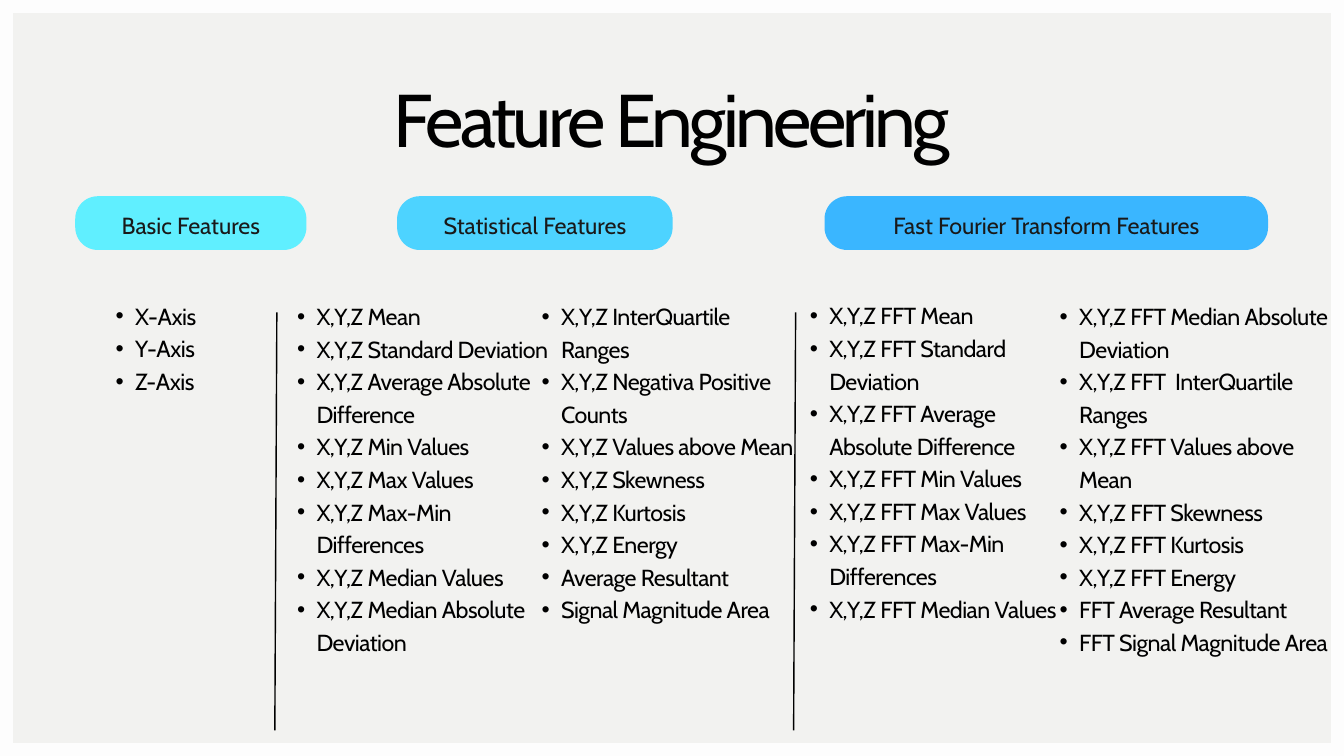
from lxml import etree
from pptx import Presentation
from pptx.dml.color import RGBColor
from pptx.enum.shapes import MSO_CONNECTOR, MSO_SHAPE
from pptx.enum.text import MSO_ANCHOR, MSO_AUTO_SIZE, PP_ALIGN
from pptx.oxml.ns import qn
from pptx.util import Inches, Pt

FRAME, ROUND = MSO_SHAPE.FRAME, MSO_SHAPE.ROUNDED_RECTANGLE
LINE = MSO_CONNECTOR.STRAIGHT
TOP, MIDDLE = MSO_ANCHOR.TOP, MSO_ANCHOR.MIDDLE
LEFT, CENTER = PP_ALIGN.LEFT, PP_ALIGN.CENTER
FIXED = MSO_AUTO_SIZE.NONE


def paint(fmt, color):
    fmt.solid()
    fmt.fore_color.rgb = RGBColor.from_string(color)


def write(shape, lines, size=24.9, lead=34.9, color="000000", track=0,
          align=LEFT, anchor=TOP, bullet=False):
    frame = shape.text_frame
    frame.word_wrap = True
    frame.auto_size = FIXED
    frame.vertical_anchor = anchor
    frame.margin_left = frame.margin_right = 0
    frame.margin_top = frame.margin_bottom = 0
    for i, line in enumerate(lines):
        para = frame.paragraphs[0] if i == 0 else frame.add_paragraph()
        para.alignment = align
        para.line_spacing = Pt(lead)
        para.space_before = para.space_after = Pt(0)
        if bullet:
            props = para._p.get_or_add_pPr()
            props.set("marL", str(Inches(0.59)))
            props.set("indent", str(Inches(-0.29)))
            etree.SubElement(props, qn("a:buFont")).set("typeface", "Arial")
            etree.SubElement(props, qn("a:buChar")).set("char", "•")
        run = para.add_run()
        run.text = line
        run.font.name = "Cabin"
        run.font.size = Pt(size)
        run.font.bold = False
        run.font.color.rgb = RGBColor.from_string(color)
        run._r.get_or_add_rPr().set("spc", str(int(track * 100)))


deck = Presentation()
deck.slide_width, deck.slide_height = Inches(20), Inches(11.25)
slide = deck.slides.add_slide(deck.slide_layouts[4])
shapes = slide.shapes
paint(slide.background.fill, "F2F2F0")

# Border
border = shapes.add_shape(FRAME, 0, 0, deck.slide_width, deck.slide_height)
border.adjustments[0] = 0.017
border.shadow.inherit = False
paint(border.fill, "FDFDFD")
border.line.fill.background()

# Title
title = shapes.title
title.left, title.top = Inches(1.13), Inches(1.2)
title.width, title.height = Inches(17.74), Inches(1.26)
write(title, ["Feature Engineering"], size=80, lead=88, track=-4, align=CENTER)

# Group headings
heads = [
    ("Basic Features", 1.12, 3.44, "60EFFF"),
    ("Statistical Features", 5.91, 4.1, "4DD3FF"),
    ("Fast Fourier Transform Features", 12.27, 6.6, "3AB6FF"),
]
for text, x, width, color in heads:
    pill = shapes.add_shape(ROUND, Inches(x), Inches(2.92), Inches(width), Inches(0.8))
    pill.adjustments[0] = 0.42
    pill.shadow.inherit = False
    paint(pill.fill, color)
    pill.line.fill.background()
    write(pill, [text], size=25, lead=35, color="191919", align=CENTER, anchor=MIDDLE)

# Feature lists: the layout has four bodies, the short list gets a text box
axes = shapes.add_textbox(0, 0, 0, 0)
bodies = [axes] + [slide.placeholders[i] for i in (1, 2, 3, 4)]
lists = [
    (1.42, 4.42, 2.85, 1.42, 25, 35, ["X-Axis", "Y-Axis", "Z-Axis"]),
    (4.12, 4.43, 4.07, 5.73, 24.9, 34.9, [
        "X,Y,Z Mean", "X,Y,Z Standard Deviation",
        "X,Y,Z Average Absolute Difference", "X,Y,Z Min Values",
        "X,Y,Z Max Values", "X,Y,Z Max-Min Differences",
        "X,Y,Z Median Values", "X,Y,Z Median Absolute Deviation"]),
    (7.76, 4.43, 4.09, 5.73, 24.9, 34.9, [
        "X,Y,Z InterQuartile Ranges", "X,Y,Z Negativa Positive Counts",
        "X,Y,Z Values above Mean", "X,Y,Z Skewness", "X,Y,Z Kurtosis",
        "X,Y,Z Energy", "Average Resultant", "Signal Magnitude Area"]),
    (11.75, 4.42, 4.09, 5.25, 24.9, 34.9, [
        "X,Y,Z FFT Mean", "X,Y,Z FFT Standard Deviation",
        "X,Y,Z FFT Average Absolute Difference", "X,Y,Z FFT Min Values",
        "X,Y,Z FFT Max Values", "X,Y,Z FFT Max-Min Differences",
        "X,Y,Z FFT Median Values"]),
    (15.47, 4.43, 4.31, 5.73, 24.9, 34.9, [
        "X,Y,Z FFT Median Absolute Deviation",
        "X,Y,Z FFT  InterQuartile Ranges", "X,Y,Z FFT Values above Mean",
        "X,Y,Z FFT Skewness", "X,Y,Z FFT Kurtosis", "X,Y,Z FFT Energy",
        "FFT Average Resultant", "FFT Signal Magnitude Area"]),
]
for body, (x, y, width, height, size, lead, items) in zip(bodies, lists):
    body.left, body.top = Inches(x), Inches(y)
    body.width, body.height = Inches(width), Inches(height)
    write(body, items, size=size, lead=lead, track=-0.5, bullet=True)

# Dividers
for x in (4.12, 11.84):
    rule = shapes.add_connector(LINE, Inches(x), Inches(4.65), Inches(x - 0.03), Inches(10.87))
    paint(rule.line.fill, "000000")
    rule.line.width = Pt(1.5)
    etree.SubElement(rule._element.spPr, qn("a:effectLst"))

deck.save("out.pptx")
